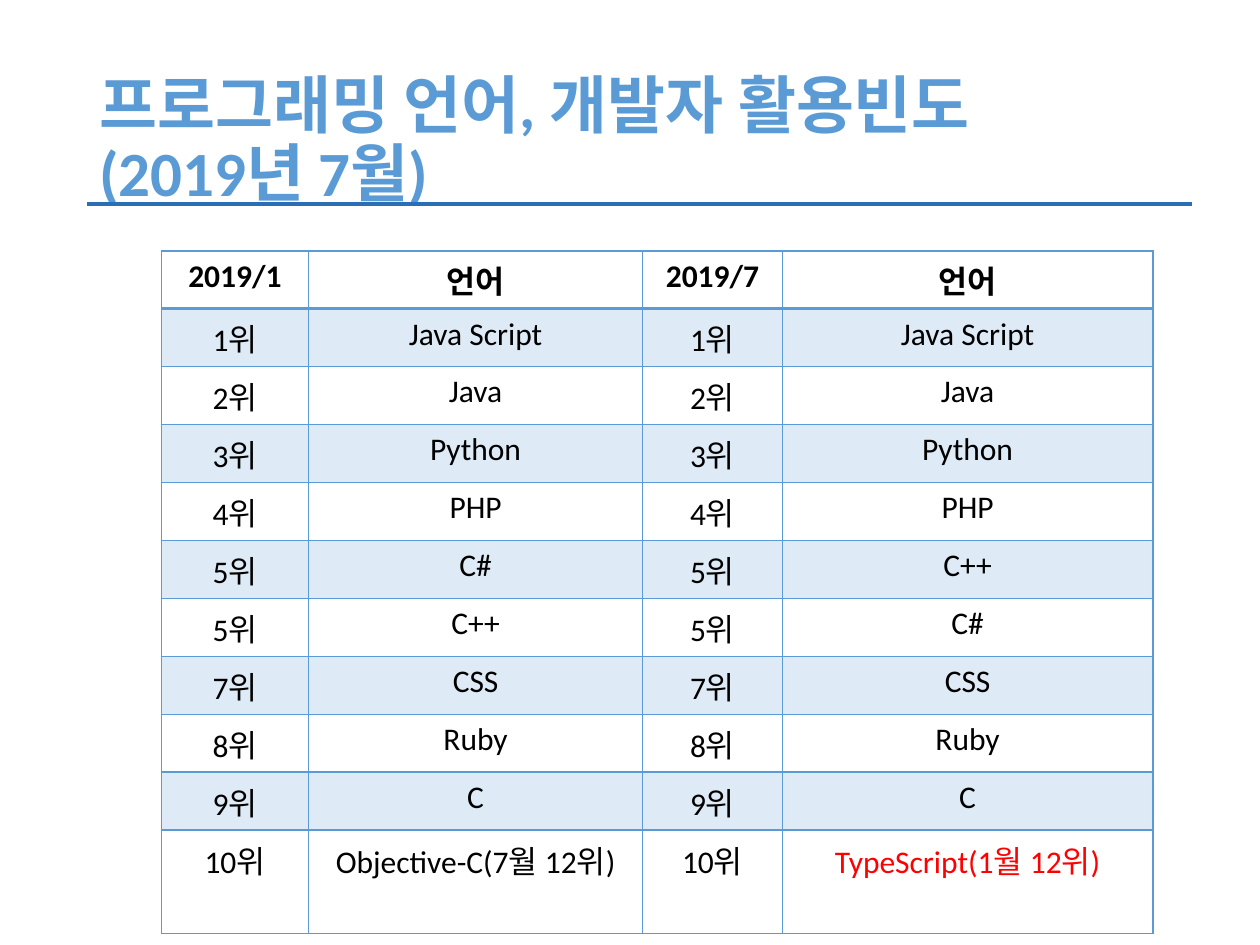
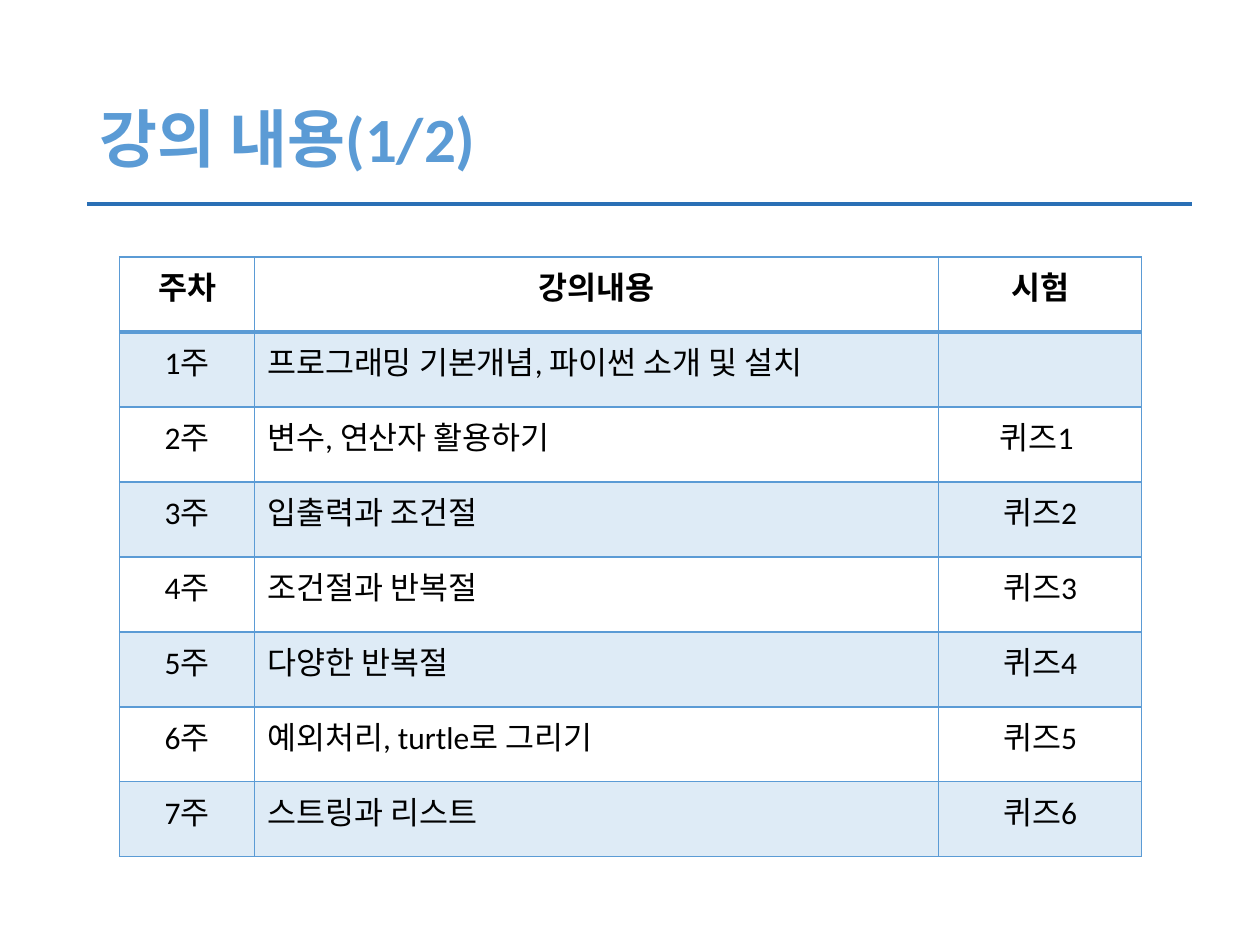
from dataclasses import dataclass

from lxml import etree
from pptx import Presentation
from pptx.dml.color import RGBColor
from pptx.enum.shapes import MSO_CONNECTOR
from pptx.enum.text import MSO_ANCHOR, PP_ALIGN
from pptx.oxml.ns import qn
from pptx.util import Inches, Pt

STRAIGHT = MSO_CONNECTOR.STRAIGHT
MIDDLE = MSO_ANCHOR.MIDDLE
LEFT, CENTER = PP_ALIGN.LEFT, PP_ALIGN.CENTER

COLORS = {
    "accent": "5B9BD5",
    "rule": "2A6FB5",
    "text": "000000",
    "highlight": "FF0000",
}
FONT = "Calibri"
SLIDE_W, SLIDE_H = Inches(10), Inches(7.5)
BAND_OPACITY = 20
THIN, THICK = 1, 2


@dataclass(frozen=True)
class Grid:
    left: float
    top: float
    columns: tuple[float, ...]
    rows: tuple[float, ...]
    aligns: tuple[PP_ALIGN, ...]


@dataclass(frozen=True)
class Page:
    title: str
    grid: Grid
    header: tuple[str, ...]
    body: list[tuple[str, ...]]
    highlights: tuple[str, ...] = ()


def x(inches: float) -> int:
    return int(SLIDE_W * inches / 10)


def y(inches: float) -> int:
    return int(SLIDE_H * inches / 7.5)


def style(paragraph, size: int, color: str, bold: bool) -> None:
    font = paragraph.font
    font.name, font.size, font.bold = FONT, Pt(size), bold
    font.color.rgb = RGBColor.from_string(COLORS[color])


def draw_heading(slide, title: str) -> None:
    heading = slide.shapes.add_textbox(x(0.69), y(0.4), x(8.62), y(1.45))
    frame = heading.text_frame
    frame.word_wrap = True
    frame.vertical_anchor = MIDDLE
    frame.text = title
    frame.paragraphs[0].line_spacing = 0.9
    style(frame.paragraphs[0], 36, "accent", True)

    rule = slide.shapes.add_connector(STRAIGHT, x(9.46), y(1.62), x(0.69), y(1.62))
    rule.line.color.rgb = RGBColor.from_string(COLORS["rule"])
    rule.line.width = Pt(2.25)
    etree.SubElement(rule._element.spPr, qn("a:effectLst"))


def draw_borders(cell, row: int) -> None:
    widths = {
        "a:lnL": THIN,
        "a:lnR": THIN,
        "a:lnT": THICK if row == 1 else THIN,
        "a:lnB": THICK if row == 0 else THIN,
    }
    properties = cell._tc.get_or_add_tcPr()
    for side, width in widths.items():
        edge = etree.SubElement(properties, qn(side), w=str(Pt(width)))
        fill = etree.SubElement(edge, qn("a:solidFill"))
        etree.SubElement(fill, qn("a:srgbClr"), val=COLORS["accent"])


def fill_band(cell, row: int) -> None:
    if row % 2 == 0:
        cell.fill.background()
        return
    cell.fill.solid()
    cell.fill.fore_color.rgb = RGBColor.from_string(COLORS["accent"])
    color = cell._tc.tcPr.find(qn("a:solidFill")).find(qn("a:srgbClr"))
    etree.SubElement(color, qn("a:alpha"), val=str(BAND_OPACITY * 1000))


def draw_table(slide, page: Page) -> None:
    grid = page.grid
    table = slide.shapes.add_table(
        len(grid.rows), len(grid.columns), x(grid.left), y(grid.top),
        x(sum(grid.columns)), y(sum(grid.rows)),
    ).table
    for column, width in zip(table.columns, grid.columns):
        column.width = x(width)
    for row, height in zip(table.rows, grid.rows):
        row.height = y(height)
    for r, entries in enumerate([page.header, *page.body]):
        for c, entry in enumerate(entries):
            cell = table.cell(r, c)
            cell.text = entry
            paragraph = cell.text_frame.paragraphs[0]
            paragraph.alignment = CENTER if r == 0 else grid.aligns[c]
            color = "highlight" if entry in page.highlights else "text"
            style(paragraph, 18, color, r == 0)
            draw_borders(cell, r)
            fill_band(cell, r)


RANKS = (1, 2, 3, 4, 5, 5, 7, 8, 9, 10)
JANUARY = ("Java Script", "Java", "Python", "PHP", "C#", "C++", "CSS", "Ruby", "C",
           "Objective-C(7월 12위)")
NEWCOMER = "TypeScript(1월 12위)"
JULY = ("Java Script", "Java", "Python", "PHP", "C++", "C#", "CSS", "Ruby", "C",
        NEWCOMER)
LECTURES = (
    ("프로그래밍 기본개념, 파이썬 소개 및 설치", ""),
    ("변수, 연산자 활용하기", "퀴즈1 "),
    ("입출력과 조건절", "퀴즈2"),
    ("조건절과 반복절", "퀴즈3"),
    ("다양한 반복절", "퀴즈4"),
    ("예외처리, turtle로 그리기", "퀴즈5"),
    ("스트링과 리스트", "퀴즈6"),
)

PAGES = (
    Page(
        title="프로그래밍 언어, 개발자 활용빈도\v(2019년 7월)",
        grid=Grid(1.28, 1.99, (1.17, 2.65, 1.11, 2.94),
                  (0.46,) * len(RANKS) + (0.82,), (CENTER,) * 4),
        header=("2019/1", "언어", "2019/7", "언어"),
        body=[(f"{rank}위", before, f"{rank}위", after)
              for rank, before, after in zip(RANKS, JANUARY, JULY)],
        highlights=(NEWCOMER,),
    ),
    Page(
        title="강의 내용(1/2)",
        grid=Grid(0.95, 2.04, (1.07, 5.43, 1.61),
                  (0.595,) * (len(LECTURES) + 1), (CENTER, LEFT, CENTER)),
        header=("주차", "강의내용", "시험"),
        body=[(f"{week}주", topic, quiz)
              for week, (topic, quiz) in enumerate(LECTURES, start=1)],
    ),
)


def main() -> None:
    deck = Presentation()
    deck.slide_width, deck.slide_height = SLIDE_W, SLIDE_H
    blank = deck.slide_layouts[6]
    for page in PAGES:
        slide = deck.slides.add_slide(blank)
        draw_heading(slide, page.title)
        draw_table(slide, page)
    deck.save("out.pptx")


if __name__ == "__main__":
    main()
